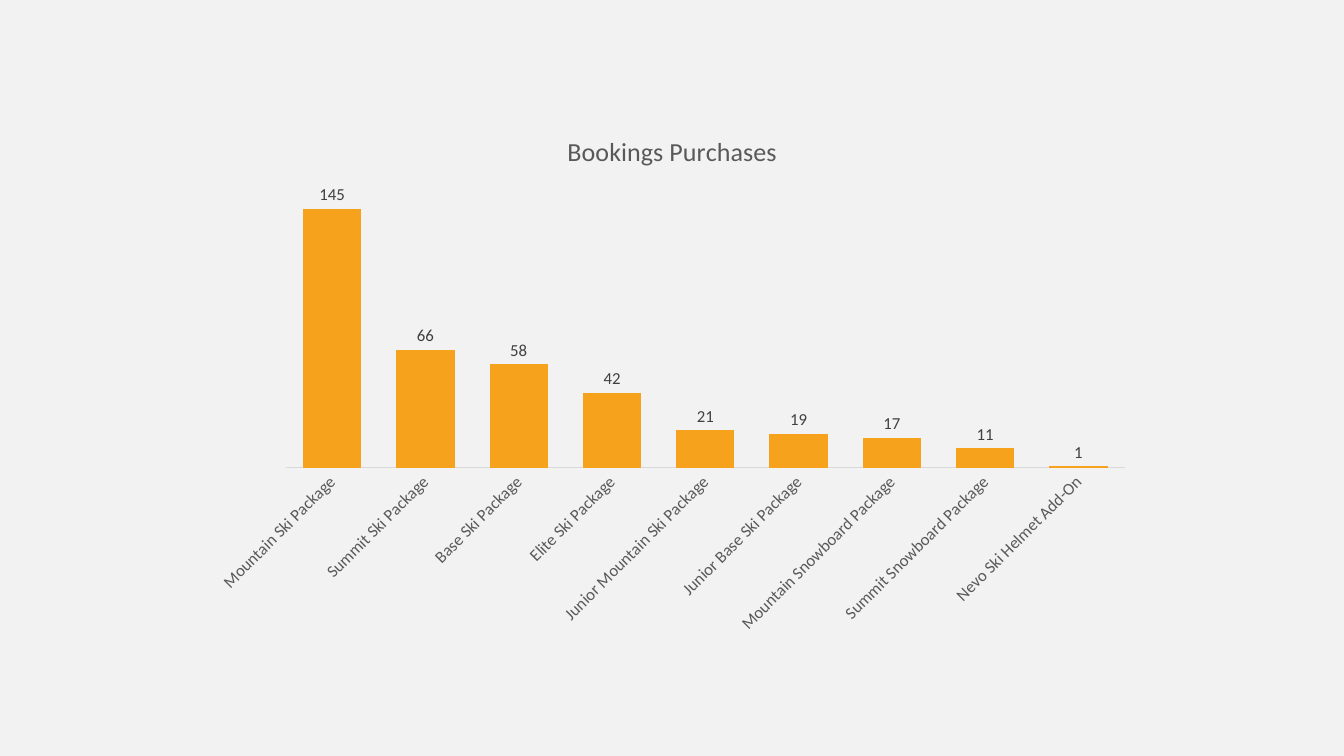
import dataclasses

import lxml.etree
import pptx
import pptx.chart.data
import pptx.dml.color
import pptx.enum.chart
import pptx.oxml
import pptx.oxml.ns
import pptx.util

Pt = pptx.util.Pt
qn = pptx.oxml.ns.qn


@dataclasses.dataclass(frozen=True)
class Theme:
    """Colours, typeface and type sizes of the slide."""
    background: str = "F2F2F2"
    bar: str = "F6A21D"
    axis: str = "D9D9D9"
    text: str = "595959"
    label: str = "404040"
    font: str = "Calibri"
    title_size: float = 18.6
    label_size: float = 12


THEME = Theme()
BOOKINGS = {
    "Mountain Ski Package": 145,
    "Summit Ski Package": 66,
    "Base Ski Package": 58,
    "Elite Ski Package": 42,
    "Junior Mountain Ski Package": 21,
    "Junior Base Ski Package": 19,
    "Mountain Snowboard Package": 17,
    "Summit Snowboard Package": 11,
    "Nevo Ski Helmet Add-On": 1,
}


def rgb(code):
    """Turn a hex code into a colour."""
    return pptx.dml.color.RGBColor.from_string(code)


def style_font(font, size=THEME.label_size, color=THEME.text, bold=False):
    """Apply typeface, size, weight and colour to a font."""
    font.name = THEME.font
    font.size = Pt(size)
    font.bold = bold
    font.color.rgb = rgb(color)


def write_text(tf, text, **fmt):
    """Write one formatted run of text into a text frame."""
    r = tf.paragraphs[0].add_run()
    r.text = text
    style_font(r.font, **fmt)


def place_plot(chart, x, y, w, h):
    """Fix the inner plot area as fractions of the chart."""
    plot_area = chart._chartSpace.chart.plotArea
    for old in plot_area.findall(qn("c:layout")):
        plot_area.remove(old)
    layout = lxml.etree.Element(qn("c:layout"))
    manual = lxml.etree.SubElement(layout, qn("c:manualLayout"))
    settings = {"layoutTarget": "inner", "xMode": "edge", "yMode": "edge",
                "x": x, "y": y, "w": w, "h": h}
    for tag, value in settings.items():
        lxml.etree.SubElement(manual, qn("c:" + tag)).set("val", str(value))
    plot_area.insert(0, layout)


def clear_chart_area(chart):
    """Remove the fill and outline of the chart area."""
    sp_pr = pptx.oxml.parse_xml(
        '<c:spPr xmlns:c="http://schemas.openxmlformats.org/drawingml/2006/chart" '
        'xmlns:a="http://schemas.openxmlformats.org/drawingml/2006/main">'
        '<a:noFill/><a:ln><a:noFill/></a:ln></c:spPr>')
    chart._chartSpace.chart.addnext(sp_pr)


def format_axes(chart):
    """Slant the category names and hide the value axis."""
    cat = chart.category_axis
    cat.major_tick_mark = pptx.enum.chart.XL_TICK_MARK.NONE
    cat.has_major_gridlines = False
    cat.format.line.color.rgb = rgb(THEME.axis)
    cat.format.line.width = Pt(0.75)
    style_font(cat.tick_labels.font)
    body = cat._element.find(qn("c:txPr")).find(qn("a:bodyPr"))
    body.set("rot", "-2700000")
    body.set("vert", "horz")

    val = chart.value_axis
    val.minimum_scale, val.maximum_scale = 0, 160
    val.has_major_gridlines = False
    val.visible = False


def format_bars(chart):
    """Colour the bars and show a value above each one."""
    plot = chart.plots[0]
    plot.vary_by_categories = False
    plot.gap_width = 60
    plot.overlap = -27
    series = plot.series[0]
    series.invert_if_negative = False
    series.format.fill.solid()
    series.format.fill.fore_color.rgb = rgb(THEME.bar)
    labels = series.data_labels
    labels.show_value = True
    labels.position = pptx.enum.chart.XL_LABEL_POSITION.OUTSIDE_END
    style_font(labels.font, color=THEME.label)


def add_bookings_chart(s, x, y, w, h):
    """Place the bookings column chart in the given box."""
    data = pptx.chart.data.CategoryChartData()
    data.categories = list(BOOKINGS)
    data.add_series("Series 1", list(BOOKINGS.values()))
    chart = s.shapes.add_chart(
        pptx.enum.chart.XL_CHART_TYPE.COLUMN_CLUSTERED,
        Pt(x), Pt(y), Pt(w), Pt(h), data).chart
    chart.has_legend = False
    chart.has_title = True
    write_text(chart.chart_title.text_frame, "Bookings Purchases",
               size=THEME.title_size)
    chart.chart_title.include_in_layout = False
    style_font(chart.font, size=10)
    format_axes(chart)
    format_bars(chart)
    place_plot(chart, x=0.09, y=0.13, w=0.89, h=0.54)
    clear_chart_area(chart)


def main():
    """Build and save the presentation."""
    prs = pptx.Presentation()
    prs.slide_width, prs.slide_height = Pt(960), Pt(540)
    s = prs.slides.add_slide(prs.slide_layouts[6])
    s.background.fill.solid()
    s.background.fill.fore_color.rgb = rgb(THEME.background)
    add_bookings_chart(s, x=143.3, y=80.6, w=673.9, h=378.7)
    prs.save("out.pptx")


if __name__ == "__main__":
    main()
